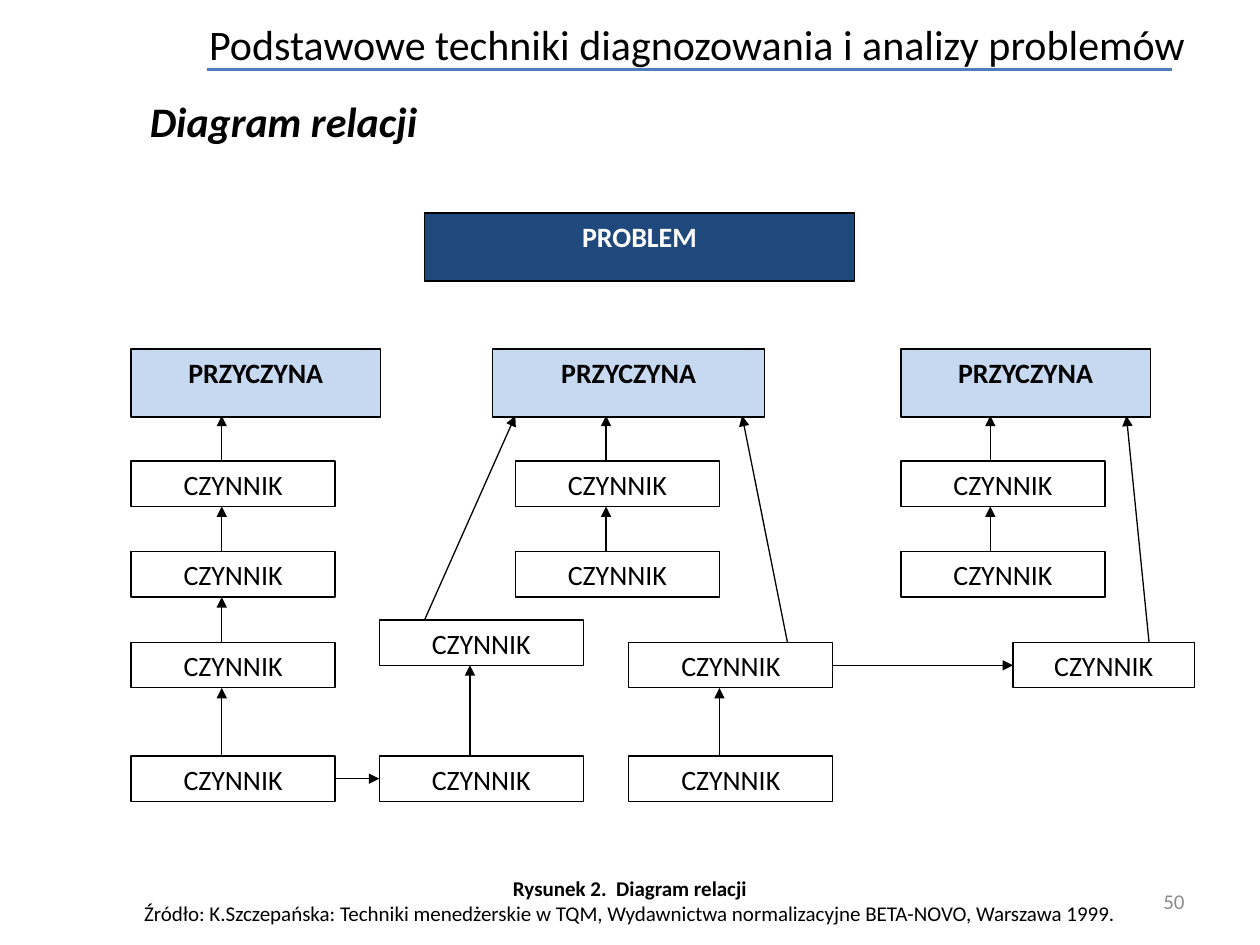
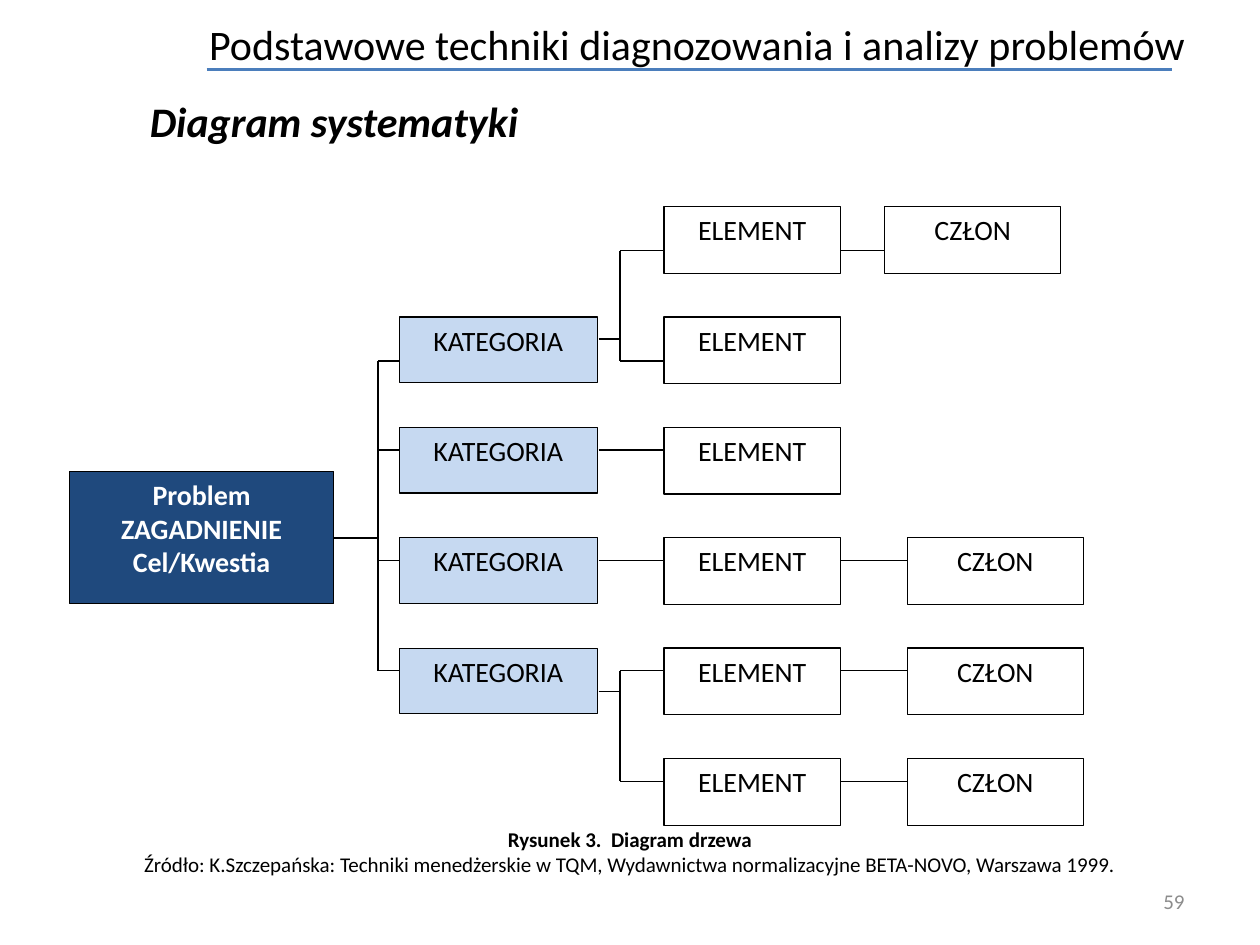
from lxml.etree import SubElement
from pptx import Presentation
from pptx.dml.color import RGBColor
from pptx.enum.shapes import MSO_CONNECTOR, MSO_SHAPE
from pptx.enum.text import MSO_ANCHOR, PP_ALIGN
from pptx.oxml.ns import qn
from pptx.util import Inches, Pt

BLACK = RGBColor(0x00, 0x00, 0x00)
WHITE = RGBColor(0xFF, 0xFF, 0xFF)
NAVY = RGBColor(0x1F, 0x49, 0x7D)
PALE = RGBColor(0xC6, 0xD9, 0xF1)
RULE = RGBColor(0x4B, 0x7E, 0xBC)
GREY = RGBColor(0x8C, 0x8C, 0x8C)

FONT = "Calibri"
TITLE = "Podstawowe techniki diagnozowania i analizy problemów"
SOURCE = ("Źródło: K.Szczepańska: Techniki menedżerskie w TQM, "
          "Wydawnictwa normalizacyjne BETA-NOVO, Warszawa 1999.")


class Deck:
    """Holds the shared style and the slide being drawn."""

    def __init__(self):
        self.prs = Presentation()
        self.prs.slide_width = Inches(10)
        self.prs.slide_height = Inches(7.5)
        self.slide = None

    def start(self, head, number, caption, top):
        """Add a slide with its title, rule, heading, caption and number."""
        self.slide = self.prs.slides.add_slide(self.prs.slide_layouts[5])
        title = self.slide.shapes.title
        title.left, title.top = Inches(1.56), Inches(0)
        title.width, title.height = Inches(8.44), Inches(0.7)
        self.letter(title.text_frame, [TITLE], 24, align=PP_ALIGN.LEFT,
                    anchor=MSO_ANCHOR.MIDDLE)
        self.line(1.64, 0.55, 9.3, 0.55, color=RULE, width=2)
        self.text(1.09, 0.71, 8.91, 0.5, [head], 24, bold=True, italic=True)
        self.text(7.17, 6.95, 2.33, 0.4, [str(number)], 12, color=GREY,
                  align=PP_ALIGN.RIGHT, anchor=MSO_ANCHOR.MIDDLE)
        note = self.text(0, top, 10, 0.5, [caption, SOURCE], 12,
                         align=PP_ALIGN.CENTER, anchor=MSO_ANCHOR.MIDDLE)
        note.paragraphs[0].runs[0].font.bold = True

    def letter(self, frame, lines, size, color=BLACK, bold=False,
               italic=False, align=PP_ALIGN.LEFT, anchor=MSO_ANCHOR.TOP):
        """Fill a text frame, one paragraph a line."""
        frame.word_wrap = True
        frame.vertical_anchor = anchor
        for i, words in enumerate(lines):
            para = frame.add_paragraph() if i else frame.paragraphs[0]
            para.alignment = align
            run = para.add_run()
            run.text = words
            font = run.font
            font.name, font.size = FONT, Pt(size)
            font.bold, font.italic = bold, italic
            font.color.rgb = color
        return frame

    def text(self, x, y, w, h, lines, size, **style):
        box = self.slide.shapes.add_textbox(
            Inches(x), Inches(y), Inches(w), Inches(h))
        return self.letter(box.text_frame, lines, size, **style)

    def box(self, x, y, w, h, lines, fill=WHITE, color=BLACK, bold=False):
        rect = self.slide.shapes.add_shape(
            MSO_SHAPE.RECTANGLE, Inches(x), Inches(y), Inches(w), Inches(h))
        rect.shadow.inherit = False
        rect.fill.solid()
        rect.fill.fore_color.rgb = fill
        rect.line.color.rgb = BLACK
        rect.line.width = Pt(0.75)
        self.letter(rect.text_frame, lines, 16, color, bold,
                    align=PP_ALIGN.CENTER)

    def line(self, x1, y1, x2, y2, color=BLACK, width=0.75):
        link = self.slide.shapes.add_connector(
            MSO_CONNECTOR.STRAIGHT,
            Inches(x1), Inches(y1), Inches(x2), Inches(y2))
        link.line.color.rgb = color
        link.line.width = Pt(width)
        SubElement(link._element.spPr, qn("a:effectLst"))
        return link

    def arrow(self, x1, y1, x2, y2):
        link = self.line(x1, y1, x2, y2)
        stroke = link._element.spPr.find(qn("a:ln"))
        SubElement(stroke, qn("a:tailEnd"), type="triangle")

    def fork(self, x, y, left, right, ends):
        """Join a stem at height y to branches at the heights in ends."""
        self.line(left, y, x, y)
        self.line(x, min(ends), x, max(ends))
        for end in ends:
            self.line(x, end, right, end)


def draw_links(deck):
    deck.start("Diagram relacji", 50, "Rysunek 2.  Diagram relacji", 6.9)
    deck.box(3.37, 1.69, 3.41, 0.54, ["PROBLEM"], NAVY, WHITE, True)
    for x, w in ((1.04, 1.98), (3.91, 2.16), (7.15, 1.98)):
        deck.box(x, 2.77, w, 0.54, ["PRZYCZYNA"], PALE, bold=True)

    # Each stack of factors: left edge, arrow x, tops, foot of the box above
    base, high = 3.3, 0.36
    stacks = (
        (1.04, 1.76, (3.66, 4.38, 5.1, 6), base),
        (4.09, 4.81, (3.66, 4.38), base),
        (7.15, 7.86, (3.66, 4.38), base),
        (3.01, 3.73, (4.92, 6), None),
        (4.99, 5.71, (5.1, 6), None),
    )
    for x, mid, tops, foot in stacks:
        for top in tops:
            deck.box(x, top, 1.62, high, ["CZYNNIK"])
            if foot:
                deck.arrow(mid, top, mid, foot)
            foot = top + high
    deck.box(8.04, 5.1, 1.44, high, ["CZYNNIK"])

    for ends in ((2.65, 6.18, 3.01, 6.18), (6.61, 5.28, 8.04, 5.28),
                 (3.37, 4.92, 4.09, base), (6.25, 5.1, 5.89, base),
                 (9.12, 5.1, 8.94, base)):
        deck.arrow(*ends)


def draw_tree(deck):
    deck.start("Diagram systematyki", 59, "Rysunek 3.  Diagram drzewa", 6.51)
    first, last = 1.64, 6.02
    rows = [first + (last - first) / 5 * i for i in range(6)]
    joins = [row + (0.35 if i < 2 else 0.18) for i, row in enumerate(rows)]

    deck.box(0.55, 3.74, 2.1, 1.05, ["Problem", "ZAGADNIENIE", "Cel/Kwestia"],
             NAVY, WHITE, True)
    for row in rows[1:5]:
        deck.box(3.17, row, 1.57, 0.52, ["KATEGORIA"], PALE)
    for row in rows:
        deck.box(5.27, row, 1.4, 0.53, ["ELEMENT"])
    for i, x in ((0, 7.02), (3, 7.2), (4, 7.2), (5, 7.2)):
        deck.box(x, rows[i], 1.4, 0.53, ["CZŁON"])
        deck.line(6.67, joins[i], x, joins[i])

    deck.fork(3, 4.27, 2.65, 3.17, joins[1:5])
    deck.fork(4.92, 2.69, 4.75, 5.27, joins[:2])
    deck.fork(4.92, 5.49, 4.75, 5.27, joins[4:])
    for y in joins[2:4]:
        deck.line(4.75, y, 5.27, y)


def main():
    deck = Deck()
    draw_links(deck)
    draw_tree(deck)
    deck.prs.save("out.pptx")


if __name__ == "__main__":
    main()
